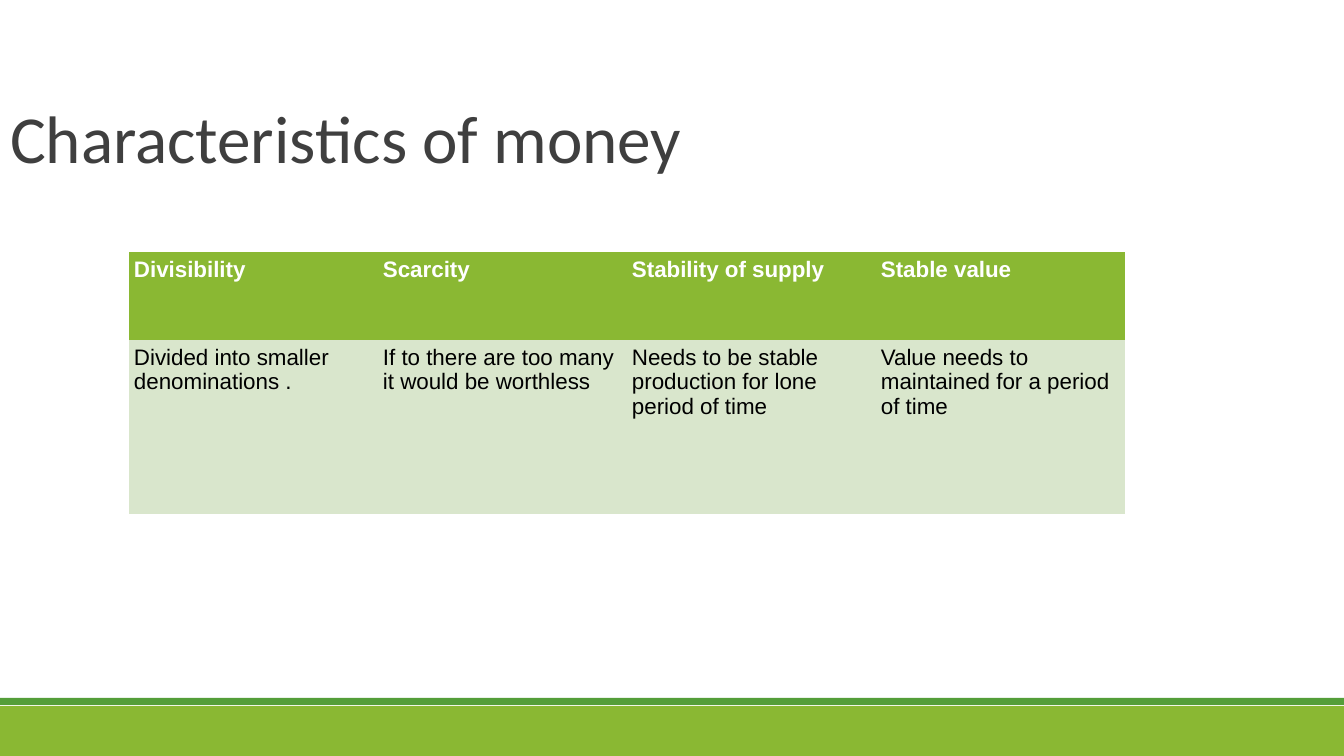
"""Build the slide on the characteristics of money."""
from pptx import Presentation
from pptx.dml.color import RGBColor
from pptx.enum.shapes import MSO_SHAPE
from pptx.enum.text import MSO_ANCHOR, PP_ALIGN
from pptx.oxml.ns import qn
from pptx.util import Pt

RECT = MSO_SHAPE.RECTANGLE
TOP, BOTTOM = MSO_ANCHOR.TOP, MSO_ANCHOR.BOTTOM
LEFT = PP_ALIGN.LEFT
PX = 914400 / 100.8
NO_GRID = "{2D5ABB26-0587-4C30-8999-92F81FD0307C}"
LIME, GREEN, PALE = "8AB833", "549E39", "D9E6CC"


def px(*lengths):
    return [round(n * PX) for n in lengths]


def write(tf, text, size, color, font="Arial", bold=False, spacing=1.0):
    tf.word_wrap = True
    p = tf.paragraphs[0]
    p.alignment = LEFT
    p.line_spacing = spacing
    r = p.add_run()
    r.text = text
    r.font.name = font
    r.font.size = Pt(size)
    r.font.bold = bold
    r.font.color.rgb = RGBColor.from_string(color)


prs = Presentation()
prs.slide_width, prs.slide_height = px(1344, 756)
s = prs.slides.add_slide(prs.slide_layouts[6])

for top, height, color in [(706, 50, LIME), (698, 7, GREEN)]:
    sp = s.shapes.add_shape(RECT, *px(0, top, 1344, height))
    sp.shadow.inherit = False
    sp.fill.solid()
    sp.fill.fore_color.rgb = RGBColor.from_string(color)
    sp.line.fill.background()

title = s.shapes.add_textbox(*px(0, 22, 1109, 160))
tf = title.text_frame
tf.vertical_anchor = BOTTOM
tf.margin_left, tf.margin_top, tf.margin_right, tf.margin_bottom = px(10, 5, 10, 5)
write(tf, "Characteristics of money", 48, "3F3F3F", font="Calibri", spacing=0.85)

characteristics = [
    ("Divisibility", "Divided into smaller denominations ."),
    ("Scarcity", "If to there are too many it would be worthless"),
    ("Stability of supply", "Needs to be stable production for lone period of time"),
    ("Stable value", "Value needs to maintained for a period of time"),
]
row_formats = [(LIME, "FFFFFF", True), (PALE, "000000", False)]

table = s.shapes.add_table(2, 4, *px(129, 252, 996, 262)).table
table.first_row = table.horz_banding = False
table._tbl.tblPr.find(qn("a:tableStyleId")).text = NO_GRID
table.rows[0].height, table.rows[1].height = px(88, 174)

for col, texts in enumerate(characteristics):
    table.columns[col].width = px(249)[0]
    for row, (fill, color, bold) in enumerate(row_formats):
        cell = table.cell(row, col)
        cell.fill.solid()
        cell.fill.fore_color.rgb = RGBColor.from_string(fill)
        cell.vertical_anchor = TOP
        cell.margin_left = cell.margin_right = cell.margin_top = cell.margin_bottom = px(5)[0]
        write(cell.text_frame, texts[row], 16, color, bold=bold)

prs.save("out.pptx")
